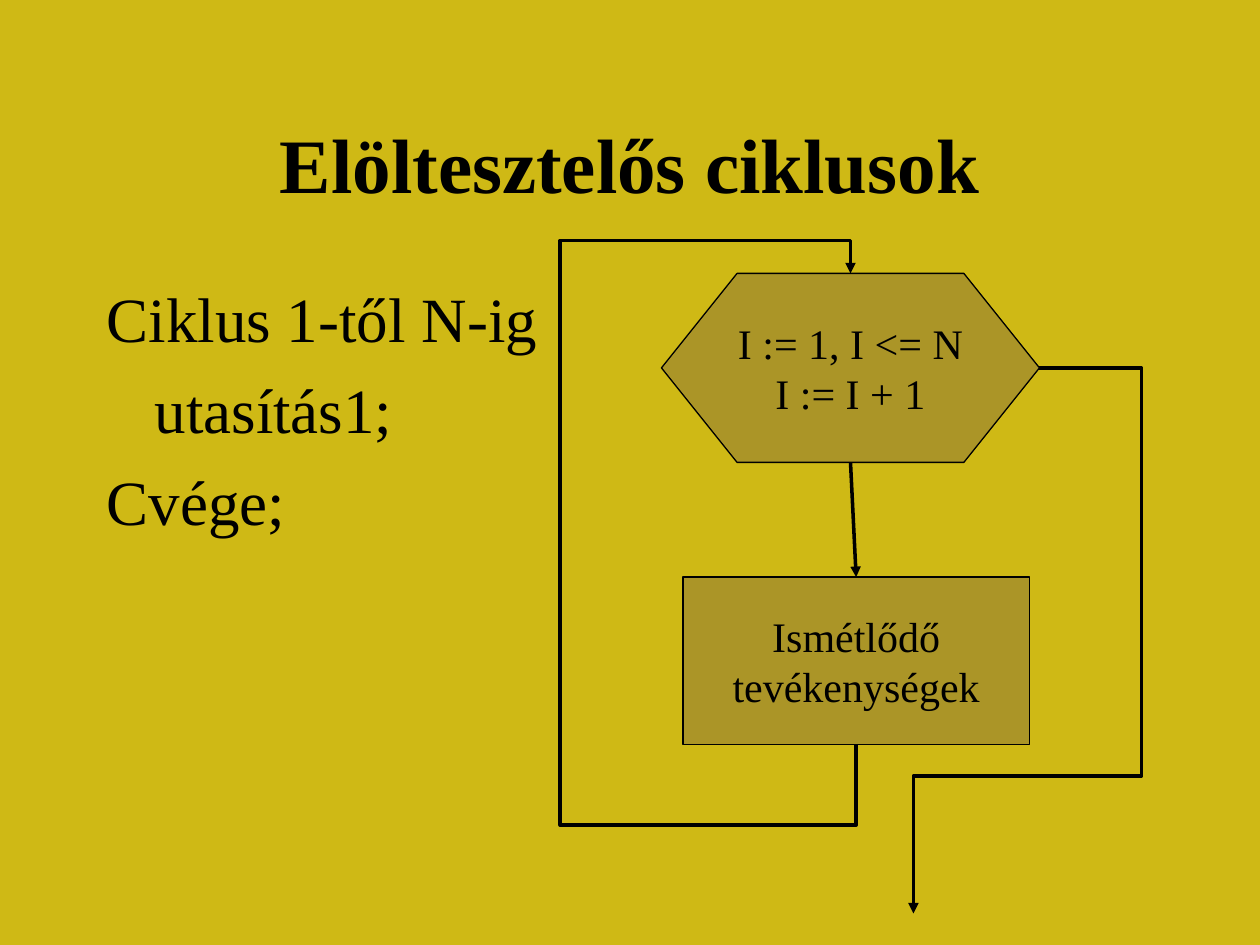
from lxml.etree import SubElement
from pptx import Presentation
from pptx.dml.color import RGBColor
from pptx.enum.shapes import MSO_CONNECTOR, MSO_SHAPE
from pptx.enum.text import MSO_ANCHOR, PP_ALIGN
from pptx.oxml.ns import qn
from pptx.util import Inches, Pt

COLORS = {"background": "CFB915", "box": "AB9527", "ink": "000000"}
FONT = "Times New Roman"

TITLE = "Elöltesztelős ciklusok"
CODE = [("Ciklus 1-től N-ig", 0), ("utasítás1;", 0.38), ("Cvége;", 0)]
CONDITION = ["I := 1, I <= N", "I := I + 1"]
ACTIVITY = ["Ismétlődő", "tevékenységek"]

# left, top, width, height
TITLE_AREA = (0.75, 0.67, 8.5, 1.25)
CODE_AREA = (0.75, 2.17, 4.17, 4.5)
CONDITION_AREA = (5.25, 2.17, 3, 1.5)
ACTIVITY_AREA = (5.42, 4.58, 2.75, 1.33)

# Where the elbow lines turn
LOOP_LEFT, LOOP_TOP, LOOP_BOTTOM = 4.44, 1.91, 6.55
EXIT_RIGHT, EXIT_TURN = 9.06, 6.16
EXIT_END = (7.25, 7.25)


def color(name):
    return RGBColor.from_string(COLORS[name])


def add_run(paragraph, text, size, bold=False):
    run = paragraph.add_run()
    run.text = text
    run.font.name = FONT
    run.font.size = Pt(size)
    run.font.bold = bold
    run.font.color.rgb = color("ink")


def paragraphs_for(frame, lines):
    """Yield each line with its paragraph, using the frame's first one first."""
    for index, line in enumerate(lines):
        yield frame.add_paragraph() if index else frame.paragraphs[0], line


def add_box(slide, preset, area, lines):
    box = slide.shapes.add_shape(preset, *map(Inches, area))
    box.shadow.inherit = False
    box.fill.solid()
    box.fill.fore_color.rgb = color("box")
    box.line.color.rgb = color("ink")
    box.line.width = Pt(0.75)
    frame = box.text_frame
    frame.word_wrap = False
    frame.vertical_anchor = MSO_ANCHOR.MIDDLE
    for paragraph, line in paragraphs_for(frame, lines):
        paragraph.alignment = PP_ALIGN.CENTER
        add_run(paragraph, line, 24)
    return box


def add_arrow(slide, kind, start, end):
    arrow = slide.shapes.add_connector(kind, *map(Inches, (*start, *end)))
    arrow.line.color.rgb = color("ink")
    arrow.line.width = Pt(2)
    properties = arrow._element.spPr
    SubElement(properties.find(qn("a:ln")), qn("a:tailEnd"), type="triangle")
    SubElement(properties, qn("a:effectLst"))
    return arrow


def bend(arrow, preset, fractions):
    """Set the elbow preset and its turns, as fractions of the arrow's extent."""
    geometry = arrow._element.spPr.find(qn("a:prstGeom"))
    geometry.set("prst", preset)
    guides = geometry.find(qn("a:avLst"))
    for number, fraction in enumerate(fractions, 1):
        SubElement(guides, qn("a:gd"), name=f"adj{number}",
                   fmla=f"val {round(fraction * 100000)}")


def add_loop_back(slide, start, end):
    """Lead from below the activity round the left side to the condition's top."""
    (x1, y1), (x2, y2) = start, end
    rise, shift = y1 - y2, x1 - x2
    middle_x, middle_y = (x1 + x2) / 2, (y1 + y2) / 2
    # Laid out horizontally, then turned a quarter to the left
    arrow = add_arrow(slide, MSO_CONNECTOR.ELBOW,
                      (middle_x - rise / 2, middle_y + shift / 2),
                      (middle_x + rise / 2, middle_y - shift / 2))
    arrow._element.spPr.find(qn("a:xfrm")).set("rot", "16200000")
    bend(arrow, "bentConnector5", [(y1 - LOOP_BOTTOM) / rise,
                                   (x1 - LOOP_LEFT) / shift,
                                   (y1 - LOOP_TOP) / rise])


def add_exit(slide, start, end):
    (x1, y1), (x2, y2) = start, end
    arrow = add_arrow(slide, MSO_CONNECTOR.ELBOW, start, end)
    bend(arrow, "bentConnector4", [(EXIT_RIGHT - x1) / (x2 - x1),
                                   (EXIT_TURN - y1) / (y2 - y1)])


def add_title(slide):
    title = slide.shapes.title
    title.left, title.top, title.width, title.height = map(Inches, TITLE_AREA)
    title.text_frame.vertical_anchor = MSO_ANCHOR.MIDDLE
    heading = title.text_frame.paragraphs[0]
    heading.alignment = PP_ALIGN.CENTER
    add_run(heading, TITLE, 44, bold=True)


def add_code(slide):
    frame = slide.shapes.add_textbox(*map(Inches, CODE_AREA)).text_frame
    frame.word_wrap = True
    for paragraph, (line, indent) in paragraphs_for(frame, CODE):
        paragraph._p.get_or_add_pPr().set("marL", str(Inches(indent)))
        if line != CODE[0][0]:
            paragraph.space_before = Pt(9)
        add_run(paragraph, line, 36)


def add_flowchart(slide):
    left, top, width, height = CONDITION_AREA
    condition_top = (left + width / 2, top)
    condition_bottom = (left + width / 2, top + height)
    condition_right = (left + width, top + height / 2)
    left, top, width, height = ACTIVITY_AREA
    activity_top = (left + width / 2, top)
    activity_bottom = (left + width / 2, top + height)

    step = add_arrow(slide, MSO_CONNECTOR.STRAIGHT, condition_bottom, activity_top)
    add_loop_back(slide, activity_bottom, condition_top)
    add_exit(slide, condition_right, EXIT_END)
    activity = add_box(slide, MSO_SHAPE.FLOWCHART_PROCESS, ACTIVITY_AREA, ACTIVITY)
    condition = add_box(slide, MSO_SHAPE.FLOWCHART_PREPARATION, CONDITION_AREA,
                        CONDITION)
    step.begin_connect(condition, 2)
    step.end_connect(activity, 0)


def main():
    deck = Presentation()
    deck.slide_width, deck.slide_height = Inches(10), Inches(7.5)
    slide = deck.slides.add_slide(deck.slide_layouts[5])
    slide.background.fill.solid()
    slide.background.fill.fore_color.rgb = color("background")
    add_title(slide)
    add_code(slide)
    add_flowchart(slide)
    deck.save("out.pptx")


if __name__ == "__main__":
    main()
